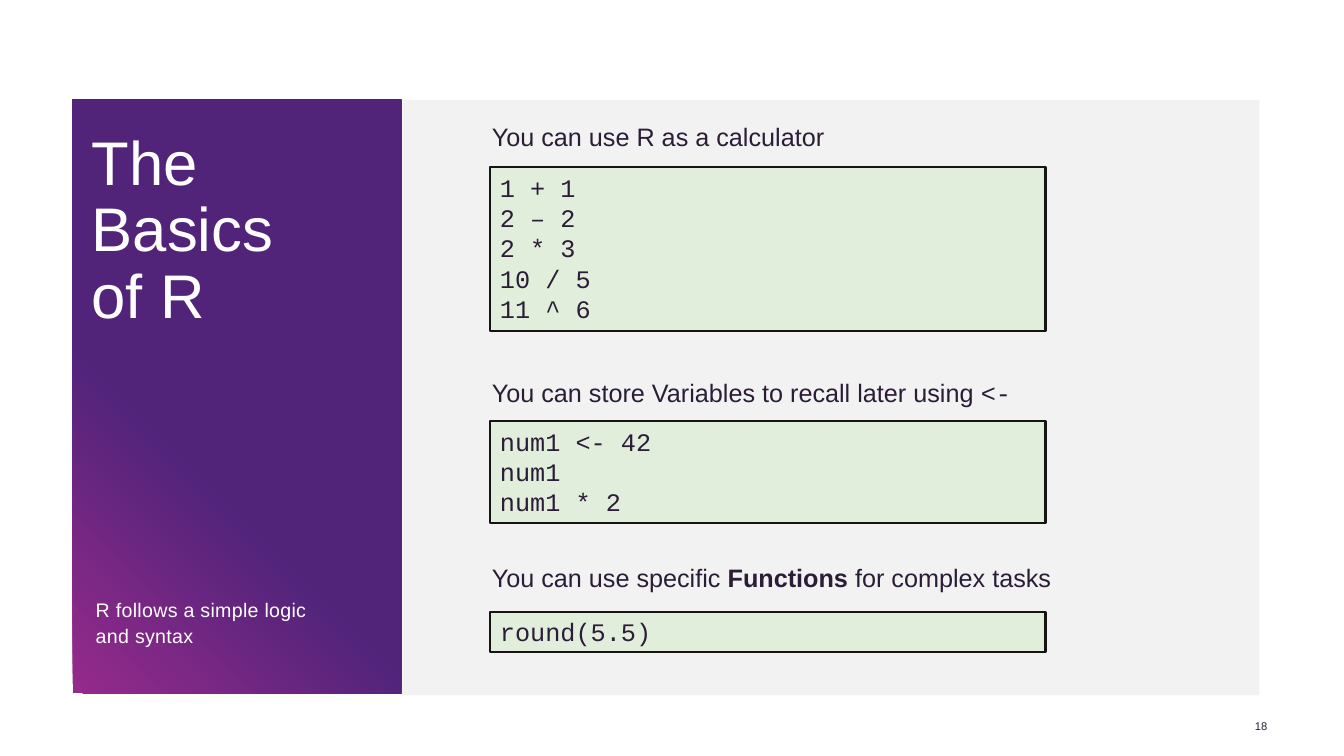
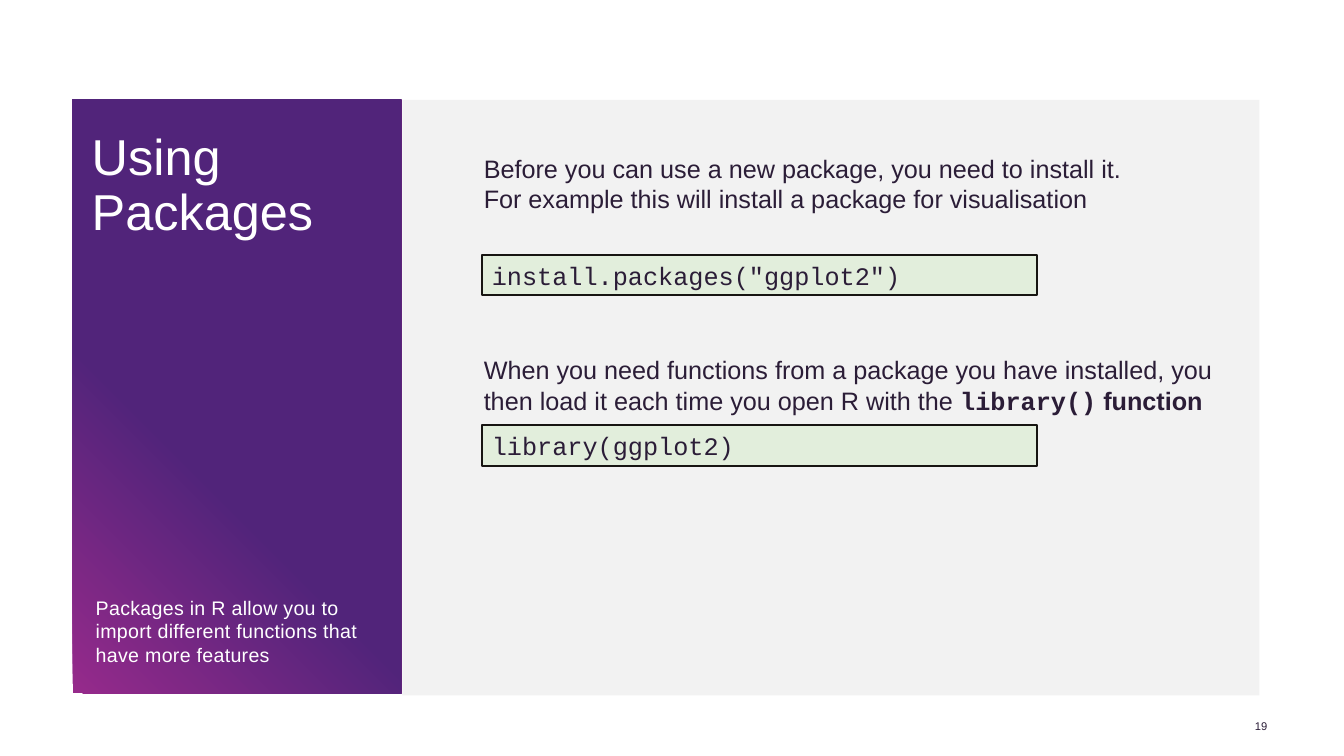
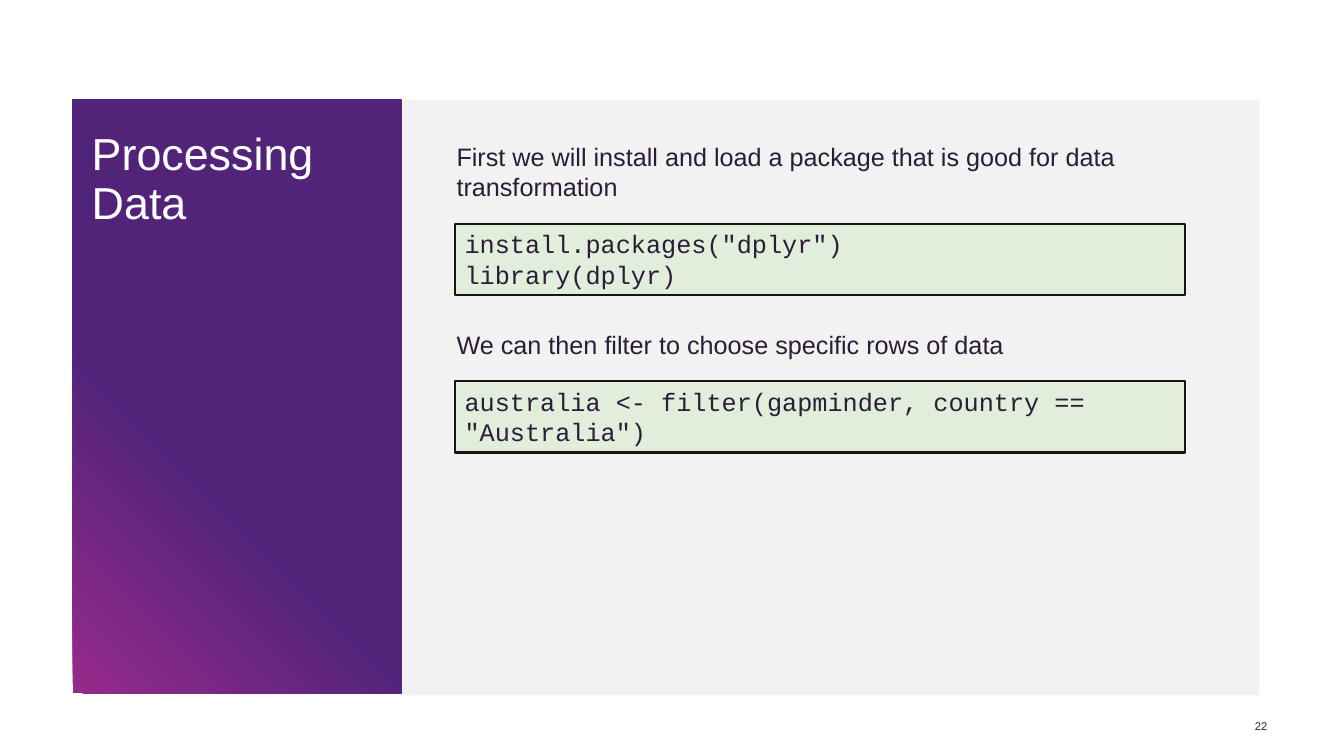
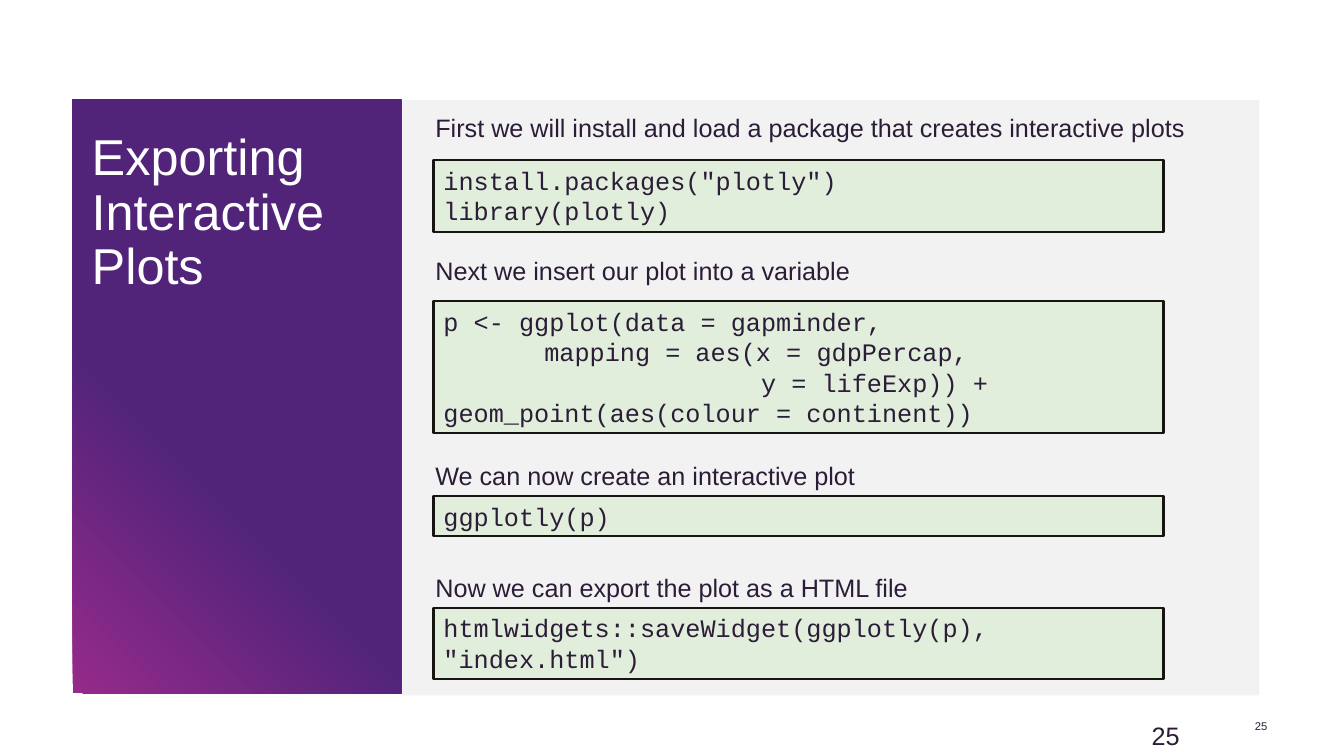
"""Build four R lesson slides with a purple title panel and code boxes."""
from pptx import Presentation
from pptx import util as u
from pptx.dml.color import RGBColor
from pptx.enum import shapes, text

PX = 9144
SANS, MONO = "Arial", "Courier New"
INK, WHITE, GREY = "2B1D37", "FFFFFF", "F2F2F2"
PURPLE, MAGENTA = "51247A", "962A8B"
CODE_FILL, CODE_LINE = "E2EEDC", "171512"
LINE_H, INSET_H = 30.3, 10


def rgb(code):
    return RGBColor.from_string(code)


def write(p, content, size, color=INK, font=SANS, bold=None):
    r = p.add_run()
    r.text = content
    r.font.size = u.Pt(size)
    r.font.name = font
    r.font.bold = bold
    r.font.color.rgb = rgb(color)
    return r


slides = [
    dict(number="18", title="The Basics of R", size=44,
         note="R follows a simple logic and syntax",
         note_box=(236, 50), spacing=(1.1, 0, 0),
         code_left=486, code_width=551,
         code=[(166, ["1 + 1", "2 – 2", "2 * 3", "10 / 5", "11 ^ 6"]),
               (418, ["num1 <- 42", "num1", "num1 * 2"]),
               (607, ["round(5.5)"])],
         captions=[(115, 353, 1, [[("You can use R as a calculator", SANS, None)]]),
                   (369, 540, 1, [[("You can store Variables to recall later using ", SANS, None),
                                   ("<-", MONO, None)]]),
                   (553, 587, 1, [[("You can use specific ", SANS, None),
                                   ("Functions ", SANS, True),
                                   ("for complex tasks", SANS, None)]])]),
    dict(number="19", title="Using Packages", size=36,
         note="Packages in R allow you to import different functions that have more features",
         note_box=(264, 94), spacing=(1.0, 3, 12),
         code_left=478, code_width=551,
         code=[(253, ['install.packages("ggplot2")']),
               (422, ["library(ggplot2)"])],
         captions=[(147, 780, 2, [[("Before you can use a new package, you need to install it.", SANS, None)],
                                  [("For example this will install a package for visualisation", SANS, None)]]),
                   (347, 787, 2, [[("When you need functions from a package you have installed, "
                                    "you then load it each time you open R with the ", SANS, None),
                                   ("library()", MONO, True),
                                   (" function", SANS, True)]])]),
    dict(number="22", title="Processing Data", size=32, note=None,
         code_left=451, code_width=724,
         code=[(222, ['install.packages("dplyr")', "library(dplyr)"]),
               (378, ['australia <- filter(gapminder, country == "Australia")'])],
         captions=[(135, 787, 2, [[("First we will install and load a package that is good "
                                    "for data transformation", SANS, None)]]),
                   (322, 568, 1, [[("We can then filter to choose specific rows of data", SANS, None)]])]),
    dict(number="25", title="Exporting Interactive Plots", size=36, note=None,
         code_left=430, code_width=724,
         code=[(159, ['install.packages("plotly")', "library(plotly)"]),
               (299, ["p <- ggplot(data = gapminder,",
                      (100, "mapping = aes(x = gdpPercap,"),
                      (315, "y = lifeExp)) + geom_point(aes(colour = continent))")]),
               (492, ["ggplotly(p)"]),
               (603, ['htmlwidgets::saveWidget(ggplotly(p), "index.html")'])],
         captions=[(107, 787, 1, [[("First we will install and load a package that creates "
                                    "interactive plots", SANS, None)]]),
                   (248, 435, 1, [[("Next we insert our plot into a variable", SANS, None)]]),
                   (452, 440, 1, [[("We can now create an interactive plot", SANS, None)]]),
                   (563, 493, 1, [[("Now we can export the plot as a HTML file", SANS, None)]])]),
]

prs = Presentation()
prs.slide_width, prs.slide_height = 1333 * PX, 750 * PX

for d in slides:
    s = prs.slides.add_slide(prs.slide_layouts[6])

    for left, width, height in ((72, 326, 589), (399, 850, 591)):
        sp = s.shapes.add_shape(shapes.MSO_SHAPE.RECTANGLE,
                                left * PX, 99 * PX, width * PX, height * PX)
        sp.shadow.inherit = False
        sp.line.fill.background()
        if left == 72:
            sp.fill.gradient()
            sp.fill.gradient_angle = 45
            for stop, color, position in zip(sp.fill.gradient_stops, (MAGENTA, PURPLE), (0, 0.38)):
                stop.color.rgb = rgb(color)
                stop.position = position
        else:
            sp.fill.solid()
            sp.fill.fore_color.rgb = rgb(GREY)

    labels = [(1226, 714, 31, 12, d["number"], 8, INK, (1.0, 0, 0)),
              (91, 131, 239, 189, d["title"], d["size"], WHITE, (0.9, 0, 0))]
    if d["note"]:
        labels.append((95, 591, *d["note_box"], d["note"], 14, WHITE, d["spacing"]))
    if d["number"] == "25":
        labels.append((1139, 717, 31, 26, d["number"], 18, INK, (1.0, 0, 0)))
    for left, top, width, height, content, size, color, (spacing, before, after) in labels:
        tf = s.shapes.add_textbox(left * PX, top * PX, width * PX, height * PX).text_frame
        tf.word_wrap = True
        tf.margin_left = tf.margin_right = tf.margin_top = tf.margin_bottom = 0
        p = tf.paragraphs[0]
        p.line_spacing = spacing
        p.space_before, p.space_after = u.Pt(before), u.Pt(after)
        r = write(p, content, size, color)
        if content == d["number"]:
            p.alignment = text.PP_ALIGN.RIGHT
            tf.vertical_anchor = text.MSO_ANCHOR.MIDDLE
        elif content == d["note"]:
            r.font._element.set("spc", "20")

    for top, lines in d["code"]:
        wrapped = any(len(line[1] if isinstance(line, tuple) else line) > 45 for line in lines)
        height = round((len(lines) + wrapped) * LINE_H + INSET_H)
        sp = s.shapes.add_shape(shapes.MSO_SHAPE.RECTANGLE, d["code_left"] * PX, top * PX,
                                d["code_width"] * PX, height * PX)
        sp.shadow.inherit = False
        sp.fill.solid()
        sp.fill.fore_color.rgb = rgb(CODE_FILL)
        sp.line.color.rgb = rgb(CODE_LINE)
        sp.line.width = u.Pt(1.5)
        tf = sp.text_frame
        tf.word_wrap = True
        tf.auto_size = text.MSO_AUTO_SIZE.SHAPE_TO_FIT_TEXT
        tf.vertical_anchor = text.MSO_ANCHOR.TOP
        for i, line in enumerate(lines):
            indent, content = line if isinstance(line, tuple) else (0, line)
            p = tf.add_paragraph() if i else tf.paragraphs[0]
            p.alignment = text.PP_ALIGN.LEFT
            if indent:
                pPr = p._p.get_or_add_pPr()
                pPr.set("marL", "0")
                pPr.set("indent", str(indent * PX))
            write(p, content, 18, font=MONO)

    for top, width, rows, paragraphs in d["captions"]:
        tf = s.shapes.add_textbox((d["code_left"] - 8) * PX, top * PX, width * PX,
                                  round(rows * LINE_H + INSET_H) * PX).text_frame
        tf.word_wrap = width > 600
        tf.auto_size = text.MSO_AUTO_SIZE.SHAPE_TO_FIT_TEXT
        for i, runs in enumerate(paragraphs):
            p = tf.add_paragraph() if i else tf.paragraphs[0]
            for content, font, bold in runs:
                write(p, content, 18, font=font, bold=bold)

prs.save("out.pptx")
